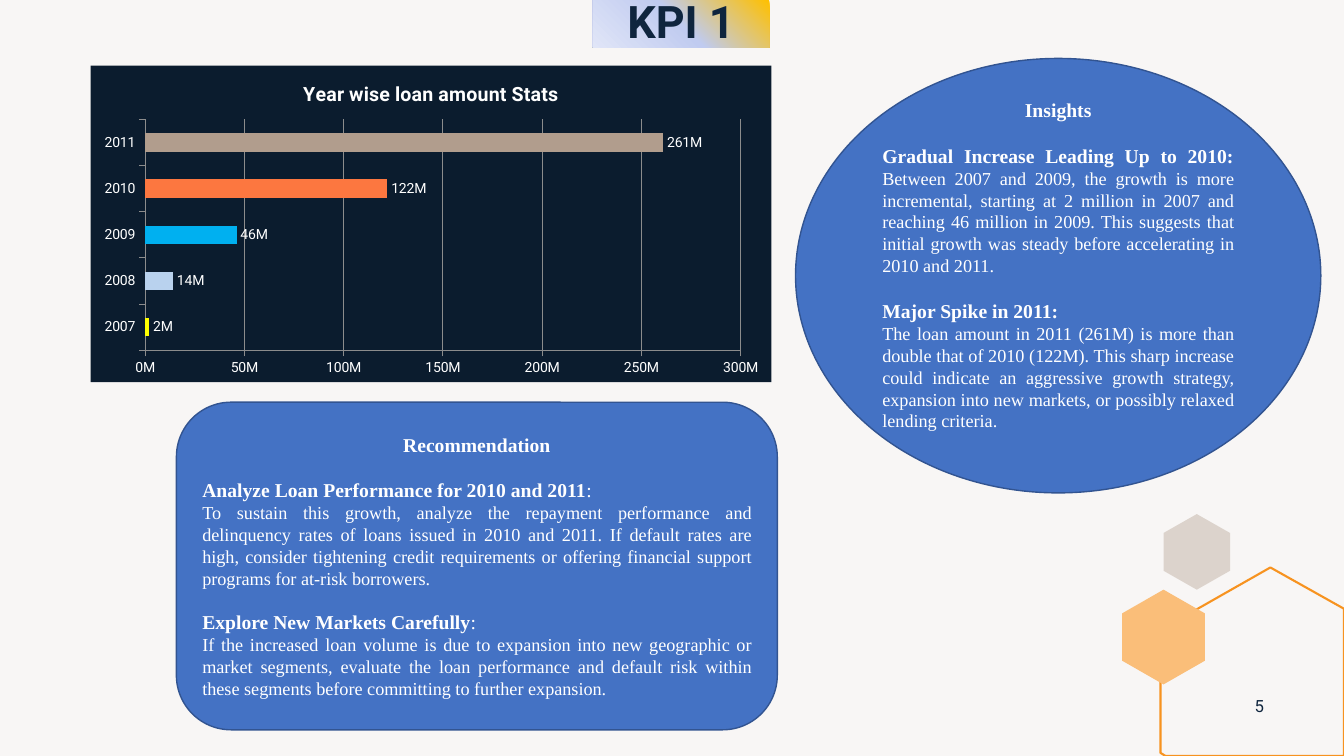
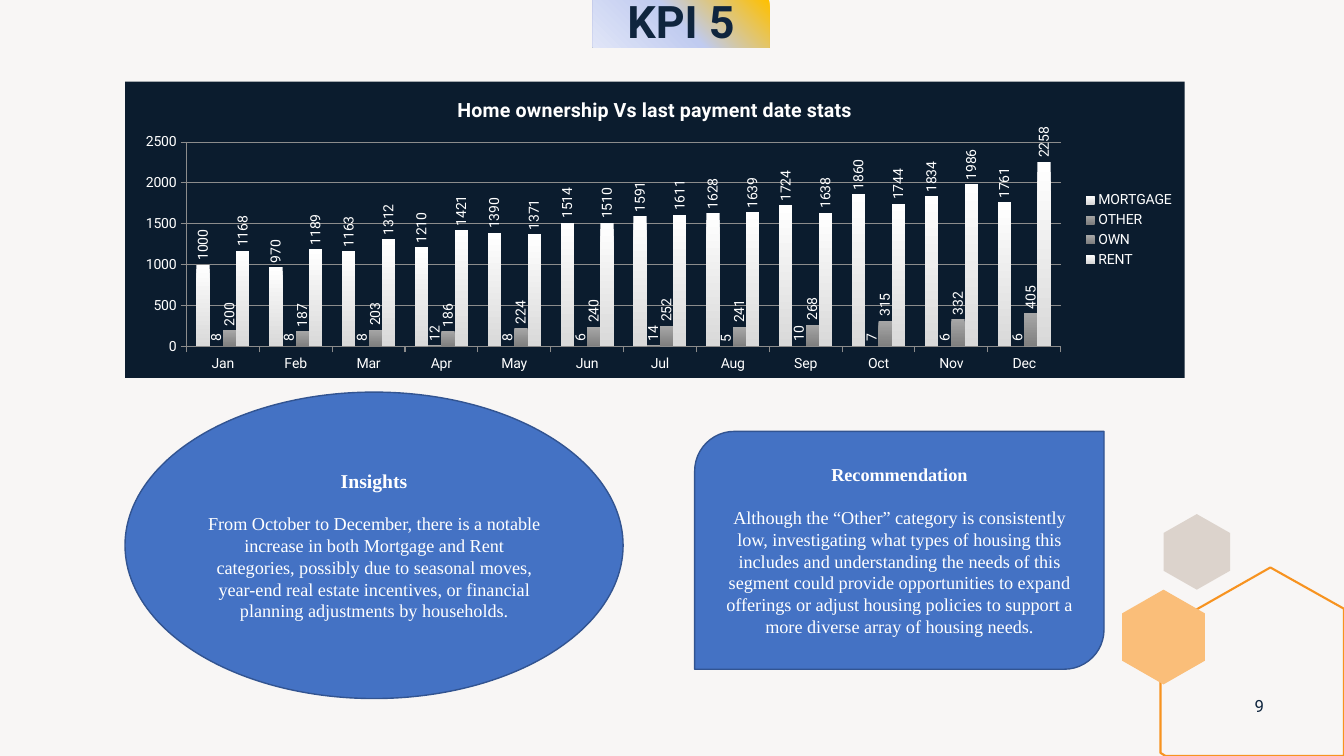
"""Build two KPI slides, each with a chart, insights and a recommendation."""
from copy import deepcopy

from pptx import Presentation
from pptx import util as u
from pptx.chart import data as cd
from pptx.dml.color import RGBColor
from pptx.enum import chart as ec, shapes, text
from pptx.oxml import parse_xml
from pptx.oxml.ns import nsdecls, qn

THEME = {
    "page": "F8F6F5", "ink": "0F253E", "white": "FFFFFF",
    "panel": "4472C4", "panel_line": "325491",
    "chart": "0B1C2E", "grid": "8C8C8C",
    "stone": "DCD3CC", "peach": "FABE79", "orange": "F79320",
    "band": [(0, "FFC000"), (0.5, "C0CBF0"), (1, "E0E5F7")],
    "sans": "Roboto", "serif": "Times New Roman",
    "title": 32, "chart_title": 14, "number": 12, "chart_text": 10,
    "head": 14, "body": 13,
}
HEAD, BODY = THEME["head"], THEME["body"]
CENTER, JUSTIFY = text.PP_ALIGN.CENTER, text.PP_ALIGN.JUSTIFY
SHAPE, CHART = shapes.MSO_SHAPE, ec.XL_CHART_TYPE
MILLIONS = '#,##0,,"M"'
LIGHT, DARK = ("FFFFFF", "D9D9D9"), ("A6A6A6", "7F7F7F")

SLIDES = [
    {
        "title": "KPI 1", "number": "5",
        "chart": {
            "box": (0.9, 0.65, 6.75, 3.14), "type": CHART.BAR_CLUSTERED,
            "plot": (0.08, 0.17, 0.875, 0.73),
            "title": "Year wise loan amount Stats",
            "format": MILLIONS, "max": 300_000_000, "step": 50_000_000,
            "cats": ["2007", "2008", "2009", "2010", "2011"],
            "series": [("Series 1", [2_000_000, 14_000_000, 46_000_000, 122_000_000, 261_000_000], None)],
            "points": ["FFFF00", "B9D2EE", "00B0F0", "FC7740", "B19D8D"],
        },
        "panels": [
            {
                "shape": SHAPE.ROUNDED_RECTANGLE, "box": (1.75, 3.99, 5.96, 3.25),
                "paragraphs": [
                    (CENTER, 0, [("Recommendation", HEAD, True)]),
                    (JUSTIFY, 15, [("Analyze Loan Performance for 2010 and 2011", HEAD, True), (":", HEAD, False)]),
                    (JUSTIFY, 0, [("To sustain this growth, analyze the repayment performance and delinquency rates of loans issued in 2010 and 2011. If default rates are high, consider tightening credit requirements or offering financial support programs for at-risk borrowers.", BODY, False)]),
                    (JUSTIFY, 15, [("Explore New Markets Carefully", HEAD, True), (":", HEAD, False)]),
                    (JUSTIFY, 0, [("If the increased loan volume is due to expansion into new geographic or market segments, evaluate the loan performance and default risk within these segments before committing to further expansion.", BODY, False)]),
                ],
            },
            {
                "shape": SHAPE.OVAL, "box": (7.89, 0.58, 5.21, 4.31), "bottom": 0.27,
                "paragraphs": [
                    (CENTER, 0, [("Insights", HEAD, True)]),
                    (JUSTIFY, 16, [("Gradual Increase Leading Up to 2010: ", HEAD, True), ("Between 2007 and 2009, the growth is more incremental, starting at 2 million in 2007 and reaching 46 million in 2009. This suggests that initial growth was steady before accelerating in 2010 and 2011.", BODY, False)]),
                    (JUSTIFY, 16, [("Major Spike in 2011:", HEAD, True)]),
                    (JUSTIFY, 0, [("The loan amount in 2011 (261M) is more than double that of 2010 (122M). This sharp increase could indicate an aggressive growth strategy, expansion into new markets, or possibly relaxed lending criteria.", BODY, False)]),
                ],
            },
        ],
    },
    {
        "title": "KPI 5", "number": "9",
        "chart": {
            "box": (1.24, 0.81, 10.51, 2.94), "type": CHART.COLUMN_CLUSTERED,
            "plot": (0.058, 0.204, 0.825, 0.69),
            "title": "Home ownership Vs last payment date stats",
            "format": "General", "max": 2500, "step": 500,
            "legend": True, "label_turn": -90,
            "cats": ["Jan", "Feb", "Mar", "Apr", "May", "Jun", "Jul", "Aug", "Sep", "Oct", "Nov", "Dec"],
            "series": [
                ("MORTGAGE", [1000, 970, 1163, 1210, 1390, 1514, 1591, 1628, 1724, 1860, 1834, 1761], LIGHT),
                ("OTHER", [8, 8, 8, 12, 8, 6, 14, 5, 10, 7, 6, 6], DARK),
                ("OWN", [200, 187, 203, 186, 224, 240, 252, 241, 268, 315, 332, 405], DARK),
                ("RENT", [1168, 1189, 1312, 1421, 1371, 1510, 1611, 1639, 1638, 1744, 1986, 2258], LIGHT),
            ],
        },
        "panels": [
            {
                "shape": SHAPE.OVAL, "box": (1.24, 3.89, 4.94, 3.04),
                "paragraphs": [
                    (CENTER, 0, [("Insights", HEAD, True)]),
                    (CENTER, 14, [("From October to December, there is a notable increase in both Mortgage and Rent categories, possibly due to seasonal moves, year-end real estate incentives, or financial planning adjustments by households.", BODY, False)]),
                ],
            },
            {
                "shape": SHAPE.ROUND_2_DIAG_RECTANGLE, "box": (6.89, 4.28, 4.06, 2.36),
                "paragraphs": [
                    (CENTER, 0, [("Recommendation", BODY, True)]),
                    (CENTER, 15, [("Although the “Other” category is consistently low, investigating what types of housing this includes and understanding the needs of this segment could provide opportunities to expand offerings or adjust housing policies to support a more diverse array of housing needs.", BODY, False)]),
                ],
            },
        ],
    },
]


def rgb(name):
    return RGBColor.from_string(THEME.get(name, name))


def inches(box):
    return [u.Inches(v) for v in box]


def paint(fill, color):
    fill.solid()
    fill.fore_color.rgb = rgb(color)


def set_font(font, size, color, face=None, bold=None):
    font.size, font.bold = u.Pt(size), bold
    font.color.rgb = rgb(color)
    if face:
        font.name = THEME[face]


def set_stops(fill, stops):
    for stop, (position, color) in zip(fill.gradient_stops, stops):
        stop.position = position
        stop.color.rgb = rgb(color)


def add_outline(slide, points, fill=None, line=None):
    start, *rest = [inches(point) for point in points]
    builder = slide.shapes.build_freeform(*start)
    builder.add_line_segments(rest, close=True)
    sp = builder.convert_to_shape()
    sp.shadow.inherit = False
    if fill:
        paint(sp.fill, fill)
    else:
        sp.fill.background()
    if line:
        sp.line.color.rgb, sp.line.width = rgb(line), u.Pt(1.5)
    else:
        sp.line.fill.background()


def hexagon(left, top, width, height):
    mid, right, quarter = left + width / 2, left + width, height / 4
    upper, lower = top + quarter, top + 3 * quarter
    return [(mid, top), (right, upper), (right, lower),
            (mid, top + height), (left, lower), (left, upper)]


def add_line_of_text(sp, words, size, bold=None):
    tf = sp.text_frame
    tf.word_wrap = True
    tf.vertical_anchor = text.MSO_ANCHOR.MIDDLE
    p = tf.paragraphs[0]
    p.text, p.alignment = words, CENTER
    set_font(p.font, size, "ink", "sans", bold)
    return tf


def add_frame(slide, title, number):
    add_outline(slide, hexagon(11.54, 5.1, 0.66, 0.75), fill="stone")
    add_outline(slide, [(12.6, 5.63), (13.33, 6.04), (13.33, 7.5), (11.56, 7.5), (11.51, 7.47), (11.51, 6.25)],
                line="orange")
    add_outline(slide, hexagon(11.13, 5.85, 0.82, 0.94), fill="peach")

    band = slide.shapes.add_shape(SHAPE.RECTANGLE, *inches((5.88, 0, 1.75, 0.47)))
    band.shadow.inherit = False
    band.line.fill.background()
    band.fill.gradient()
    stops = next(band._element.iter(qn("a:gsLst")))
    stops.insert(1, deepcopy(stops[0]))
    set_stops(band.fill, THEME["band"])
    band.fill.gradient_angle = 225
    tf = add_line_of_text(band, title, THEME["title"], True)
    tf.margin_top = tf.margin_bottom = 0
    tf.paragraphs[0].line_spacing = 0.9

    page = slide.shapes.add_textbox(*inches((12.24, 6.8, 0.5, 0.4)))
    add_line_of_text(page, number, THEME["number"])


def add_panel(slide, panel):
    sp = slide.shapes.add_shape(panel["shape"], *inches(panel["box"]))
    sp.shadow.inherit = False
    paint(sp.fill, "panel")
    sp.line.color.rgb, sp.line.width = rgb("panel_line"), u.Pt(1)
    tf = sp.text_frame
    tf.word_wrap, tf.vertical_anchor = True, text.MSO_ANCHOR.MIDDLE
    tf.margin_bottom = u.Inches(panel.get("bottom", 0.05))
    for i, (align, gap, runs) in enumerate(panel["paragraphs"]):
        p = tf.add_paragraph() if i else tf.paragraphs[0]
        p.alignment = align
        if gap:
            p.space_before = u.Pt(gap)
        base_size, base_bold = runs[0][1:]
        set_font(p.font, base_size, "white", "serif", base_bold)
        for words, size, bold in runs:
            r = p.add_run()
            r.text = words
            if size != base_size:
                r.font.size = u.Pt(size)
            if bold != base_bold:
                r.font.bold = bold


def set_plot_layout(chart, plot):
    area = next(chart._chartSpace.iter(qn("c:plotArea")))
    for old in area.findall(qn("c:layout")):
        area.remove(old)
    sizes = "".join(f'<c:{tag} val="{v}"/>' for tag, v in zip("xywh", plot))
    area.insert(0, parse_xml(
        f'<c:layout {nsdecls("c")}><c:manualLayout><c:layoutTarget val="inner"/>'
        f'<c:xMode val="edge"/><c:yMode val="edge"/>{sizes}</c:manualLayout></c:layout>'))


def add_kpi_chart(slide, spec):
    data = cd.CategoryChartData(number_format=spec["format"])
    data.categories = spec["cats"]
    for name, values, _ in spec["series"]:
        data.add_series(name, values)
    chart = slide.shapes.add_chart(spec["type"], *inches(spec["box"]), data).chart
    set_font(chart.font, THEME["chart_text"], "white", "sans")
    chart._chartSpace.find(qn("c:txPr")).addprevious(parse_xml(
        f'<c:spPr {nsdecls("c", "a")}><a:solidFill><a:srgbClr val="{THEME["chart"]}"/></a:solidFill>'
        '<a:ln><a:noFill/></a:ln></c:spPr>'))
    set_plot_layout(chart, spec["plot"])

    chart.has_title = True
    p = chart.chart_title.text_frame.paragraphs[0]
    p.text = spec["title"]
    set_font(p.font, THEME["chart_title"], "white", "sans", True)
    chart.has_legend = spec.get("legend", False)
    if chart.has_legend:
        chart.legend.position = ec.XL_LEGEND_POSITION.RIGHT
        chart.legend.include_in_layout = False

    values = chart.value_axis
    values.minimum_scale, values.maximum_scale = 0, spec["max"]
    values.major_unit = spec["step"]
    values.has_major_gridlines = True
    values.tick_labels.number_format = spec["format"]
    values.tick_labels.number_format_is_linked = False
    chart.category_axis.has_major_gridlines = False
    for axis in (values, chart.category_axis):
        axis.major_tick_mark = ec.XL_TICK_MARK.OUTSIDE
        axis.format.line.color.rgb = rgb("grid")
    values.major_gridlines.format.line.color.rgb = rgb("grid")

    plot = chart.plots[0]
    plot.gap_width, plot.overlap, plot.vary_by_categories = 150, 0, False
    for series, (_, _, shades) in zip(plot.series, spec["series"]):
        fill = series.format.fill
        if shades:
            fill.gradient()
            set_stops(fill, list(zip((0, 1), shades)))
            fill.gradient_angle = 270
        else:
            paint(fill, "panel")
        labels = series.data_labels
        labels.show_value = True
        labels.position = ec.XL_LABEL_POSITION.OUTSIDE_END
        labels.number_format, labels.number_format_is_linked = spec["format"], False
        set_font(labels.font, THEME["chart_text"], "white", "sans")
        if "label_turn" in spec:
            body = next(labels._element.iter(qn("a:bodyPr")))
            body.set("rot", str(spec["label_turn"] * 60000))
            body.set("vert", "horz")
    for i, color in enumerate(spec.get("points", [])):
        paint(plot.series[0].points[i].format.fill, color)


def main():
    prs = Presentation()
    prs.slide_width, prs.slide_height = inches((13.33, 7.5))
    paint(prs.slide_master.background.fill, "page")
    for content in SLIDES:
        slide = prs.slides.add_slide(prs.slide_layouts[6])
        add_frame(slide, content["title"], content["number"])
        add_kpi_chart(slide, content["chart"])
        for panel in content["panels"]:
            add_panel(slide, panel)
    prs.save("out.pptx")


if __name__ == "__main__":
    main()
